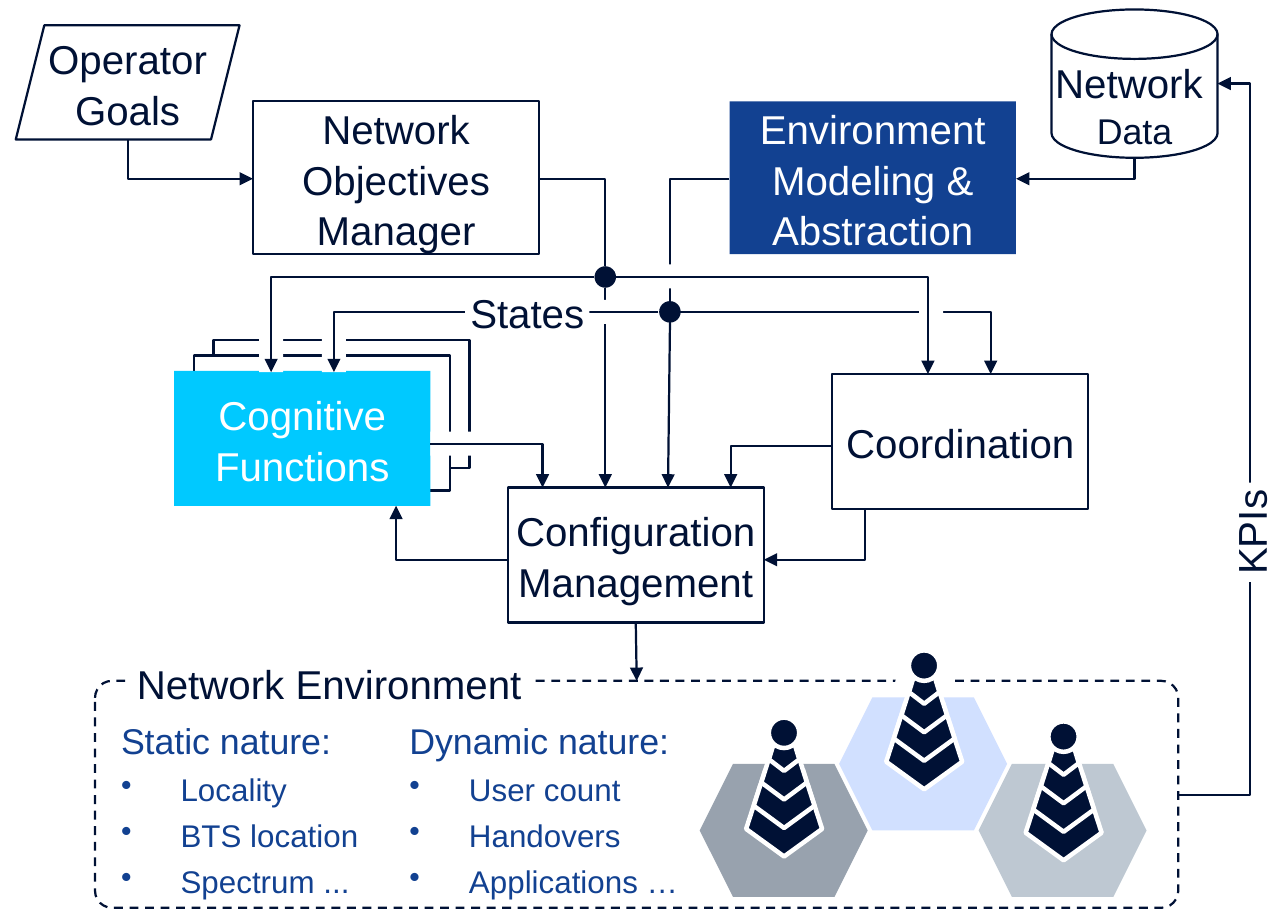
import dataclasses

import lxml.etree
import pptx
import pptx.dml.color
import pptx.enum.dml
import pptx.enum.shapes
import pptx.enum.text
import pptx.oxml.ns
import pptx.util

Cm = pptx.util.Cm
Pt = pptx.util.Pt
qn = pptx.oxml.ns.qn
SHAPE = pptx.enum.shapes.MSO_SHAPE
CONNECTOR = pptx.enum.shapes.MSO_CONNECTOR
ALIGN = pptx.enum.text.PP_ALIGN


@dataclasses.dataclass(frozen=True)
class Theme:
    font: str = "Arial"
    ink: str = "001135"
    white: str = "FFFFFF"
    blue: str = "124191"
    cyan: str = "00C9FF"
    pale: str = "D1E0FF"
    silver: str = "BEC8D2"
    grey: str = "98A2AE"
    label: int = 18
    heading: int = 16
    item: int = 14


def rgb(color):
    return pptx.dml.color.RGBColor.from_string(color)


class Diagram:
    def __init__(self, slide, theme):
        self.slide = slide
        self.theme = theme

    def shape(self, kind, box, fill=None, line=None, width=1):
        shape = self.slide.shapes.add_shape(kind, *map(Cm, box))
        shape.shadow.inherit = False
        if fill:
            shape.fill.solid()
            shape.fill.fore_color.rgb = rgb(fill)
        else:
            shape.fill.background()
        if line:
            shape.line.color.rgb = rgb(line)
            shape.line.width = Pt(width)
        else:
            shape.line.fill.background()
        return shape

    def frame(self, shape, wrap=True):
        frame = shape.text_frame
        frame.margin_left = frame.margin_right = 0
        frame.margin_top = frame.margin_bottom = 0
        frame.word_wrap = wrap
        return frame

    def style(self, paragraph, size, color, align=ALIGN.LEFT):
        paragraph.alignment = align
        paragraph.line_spacing = 1.05
        paragraph.space_after = Pt(3)
        paragraph.font.name = self.theme.font
        paragraph.font.size = Pt(size)
        paragraph.font.color.rgb = rgb(color)

    def block(self, kind, box, text, fill=None, line=None, color=None, wrap=True):
        block = self.shape(kind, box, fill or self.theme.white, line)
        frame = self.frame(block, wrap)
        frame.vertical_anchor = pptx.enum.text.MSO_ANCHOR.MIDDLE
        frame.text = text
        self.style(frame.paragraphs[0], self.theme.label, color or self.theme.ink, ALIGN.CENTER)
        return block

    def box(self, box, text):
        return self.block(SHAPE.RECTANGLE, box, text, line=self.theme.ink)

    def label(self, box, text):
        return self.block(SHAPE.RECTANGLE, box, text, wrap=False)

    def gap(self, *box):
        self.shape(SHAPE.RECTANGLE, box, self.theme.white)

    def dot(self, x, y, diameter=0.34):
        corner = (x - diameter / 2, y - diameter / 2)
        self.shape(SHAPE.OVAL, (*corner, diameter, diameter), self.theme.ink)

    def bullets(self, box, heading, items):
        frame = self.frame(self.slide.shapes.add_textbox(*map(Cm, box)))
        frame.text = heading
        self.style(frame.paragraphs[0], self.theme.heading, self.theme.blue)
        for item in items:
            paragraph = frame.add_paragraph()
            paragraph.text = item
            properties = paragraph._p.get_or_add_pPr()
            properties.set("marL", str(Cm(0.94)))
            properties.set("indent", str(-Cm(0.94)))
            lxml.etree.SubElement(properties, qn("a:buChar")).set("char", "•")
            self.style(paragraph, self.theme.item, self.theme.blue)

    def link(self, start, end, kind=CONNECTOR.STRAIGHT, arrow=True):
        link = self.slide.shapes.add_connector(kind, *map(Cm, start + end))
        link.line.color.rgb = rgb(self.theme.ink)
        link.line.width = Pt(1)
        properties = link._element.spPr
        if arrow:
            outline = properties.find(qn("a:ln"))
            lxml.etree.SubElement(outline, qn("a:tailEnd")).set("type", "triangle")
        lxml.etree.SubElement(properties, qn("a:effectLst"))
        return link

    def corner(self, start, end, arrow=True, down_first=False):
        link = self.link(start, end, CONNECTOR.ELBOW, arrow)
        properties = link._element.spPr
        properties.find(qn("a:prstGeom")).set("prst", "bentConnector2")
        if down_first:
            left, top, width, height = link.left, link.top, link.width, link.height
            link.left = left + (width - height) // 2
            link.top = top + (height - width) // 2
            link.width, link.height = height, width
            rightward = end[0] > start[0]
            transform = properties.find(qn("a:xfrm"))
            transform.set("rot", "16200000" if rightward else "5400000")
            transform.set("flipH", "1" if rightward else "0")

    def detour(self, start, end, spine):
        link = self.link(start, end, CONNECTOR.ELBOW)
        geometry = link._element.spPr.find(qn("a:prstGeom"))
        ratio = (spine - start[0]) / (end[0] - start[0])
        guide = lxml.etree.SubElement(geometry.find(qn("a:avLst")), qn("a:gd"))
        guide.set("name", "adj1")
        guide.set("fmla", f"val {round(ratio * 100000)}")

    def tower(self, x, top):
        for level in (3, 2, 1, 0):
            width, height = 0.48 + 0.24 * level, 0.48 + 0.22 * level
            segment = (x - width / 2, top + 0.36 + 0.23 * level, width, height)
            self.shape(SHAPE.REGULAR_PENTAGON, segment,
                       self.theme.ink, self.theme.white, 2).rotation = 180
        self.shape(SHAPE.OVAL, (x - 0.24, top, 0.48, 0.48), self.theme.ink, self.theme.white, 2)


def main():
    deck = pptx.Presentation()
    deck.slide_width, deck.slide_height = Cm(20.32), Cm(14.48)
    theme = Theme()
    diagram = Diagram(deck.slides.add_slide(deck.slide_layouts[6]), theme)

    environment = diagram.shape(SHAPE.ROUNDED_RECTANGLE, (1.5, 10.74, 17.09, 3.58), line=theme.ink)
    environment.adjustments[0] = 0.075
    environment.line.dash_style = pptx.enum.dml.MSO_LINE.DASH

    diagram.block(SHAPE.PARALLELOGRAM, (0.25, 0.4, 3.53, 1.8), "Operator Goals", line=theme.ink)
    data = diagram.block(SHAPE.FLOWCHART_MAGNETIC_DISK, (16.59, 0.15, 2.62, 2.34),
                         "Network ", line=theme.ink)
    data.text_frame.margin_top = Cm(0.25)
    data_text = data.text_frame.paragraphs[0]
    data_text.add_line_break()
    second_line = data_text.add_run()
    second_line.text = "Data"
    second_line.font.size = Pt(theme.heading)

    diagram.box((3.99, 1.6, 4.52, 2.41), "Network Objectives Manager")
    diagram.block(SHAPE.RECTANGLE, (11.51, 1.6, 4.52, 2.41), "Environment Modeling & Abstraction",
                  theme.blue, color=theme.white)
    for stacked in ((3.37, 5.36, 4.04, 2.03), (3.06, 5.61, 4.04, 2.13)):
        diagram.shape(SHAPE.RECTANGLE, stacked, theme.white, theme.ink)
    diagram.block(SHAPE.RECTANGLE, (2.75, 5.85, 4.04, 2.13), "Cognitive Functions",
                  theme.cyan, color=theme.white)
    configuration = diagram.box((8.01, 7.69, 4.04, 2.13), "Configuration Management")
    diagram.box((13.13, 5.9, 4.04, 2.13), "Coordination")

    diagram.detour((18.59, 12.54), (19.21, 1.32), 19.72)
    cells = ((15.44, 12.05, theme.silver), (13.24, 11, theme.pale), (11.04, 12.05, theme.grey))
    tower_gap = diagram.shape(SHAPE.TRAPEZOID, (14.02, 10.39, 1.12, 0.84), theme.white)
    tower_gap.adjustments[0] = 0.22
    for left, top, color in cells:
        diagram.shape(SHAPE.HEXAGON, (left, top, 2.65, 2.1), color)

    diagram.corner((2.02, 2.2), (3.99, 2.82), down_first=True)
    diagram.corner((17.9, 2.49), (16.03, 2.82), down_first=True)
    diagram.bullets((1.91, 11.3, 4.55, 2.8), "Static nature:",
                    ("Locality", "BTS location", "Spectrum ..."))
    diagram.bullets((6.46, 11.3, 4.55, 2.8), "Dynamic nature:",
                    ("User count", "Handovers", "Applications …"))
    diagram.label((1.98, 10.41, 6.43, 0.69), "Network Environment")

    deployment = diagram.link((10.03, 9.82), (10.03, 10.74))
    deployment.begin_connect(configuration, 2)
    deployment.end_connect(environment, 0)
    diagram.corner((8.51, 2.82), (9.55, 4.2), arrow=False)
    diagram.corner((11.51, 2.82), (10.57, 4.75), arrow=False)
    diagram.corner((10.72, 4.92), (15.63, 5.9))
    diagram.link((10.57, 5.08), (10.54, 7.69))
    diagram.link((9.55, 4.55), (9.55, 7.69))
    diagram.corner((8.01, 8.83), (6.25, 7.98))
    diagram.corner((13.13, 7.04), (11.53, 7.69))
    diagram.corner((13.65, 8.03), (12.05, 8.83), down_first=True)

    for left, top in ((10.37, 4.17), (9.36, 4.73), (14.5, 4.75)):
        diagram.gap(left, top, 0.38, 0.38)
    diagram.gap(6.79, 6.81, 0.71, 0.38)
    for left in (5.08, 4.09):
        diagram.gap(left, 5.13, 0.38, 0.74)

    diagram.corner((9.7, 4.37), (14.64, 5.9))
    diagram.corner((10.39, 4.92), (5.27, 5.87))
    diagram.corner((9.38, 4.37), (4.28, 5.87))
    diagram.corner((6.79, 7), (8.56, 7.69))

    diagram.label((18.93, 8.05, 1.57, 0.69), "KPIs").rotation = 270
    diagram.label((7.34, 4.57, 1.96, 0.69), "States")
    diagram.dot(9.55, 4.37)
    diagram.dot(10.57, 4.92)
    for x, top in ((14.58, 10.26), (16.78, 11.38), (12.37, 11.32)):
        diagram.tower(x, top)

    deck.save("out.pptx")


if __name__ == "__main__":
    main()
